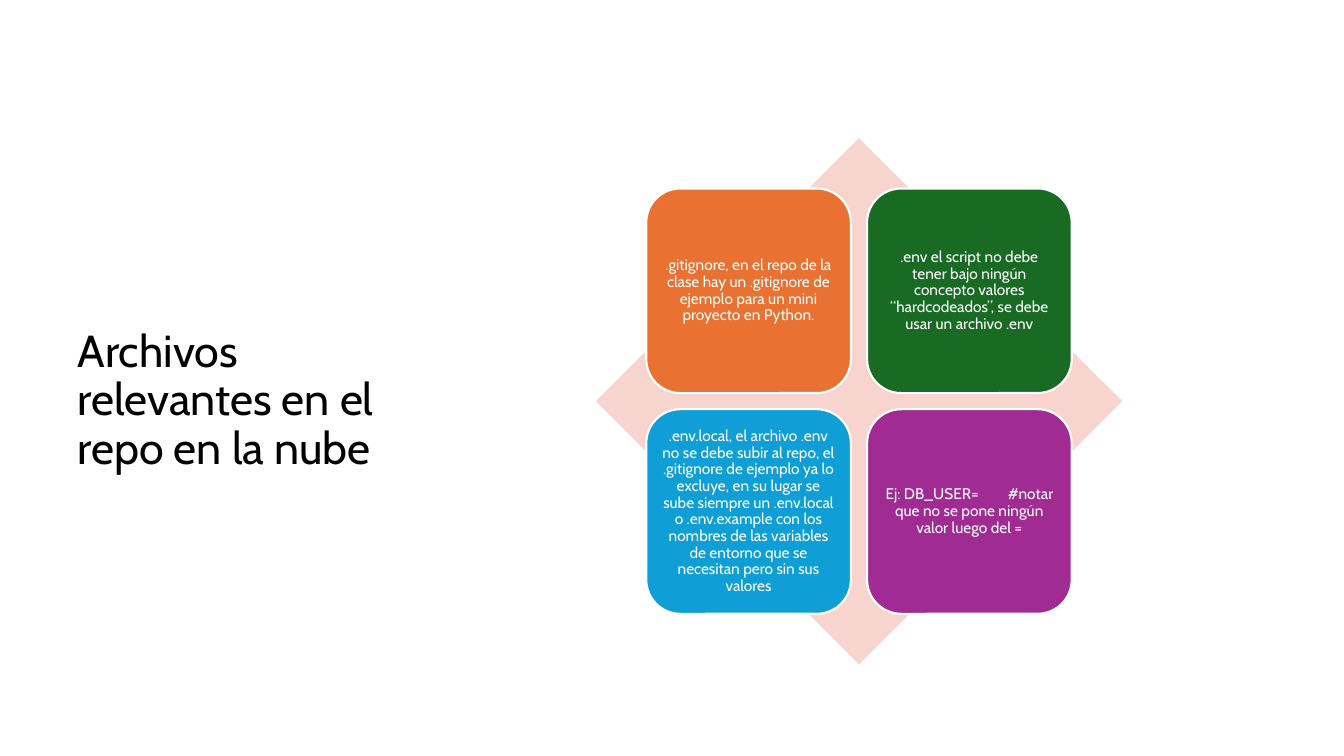
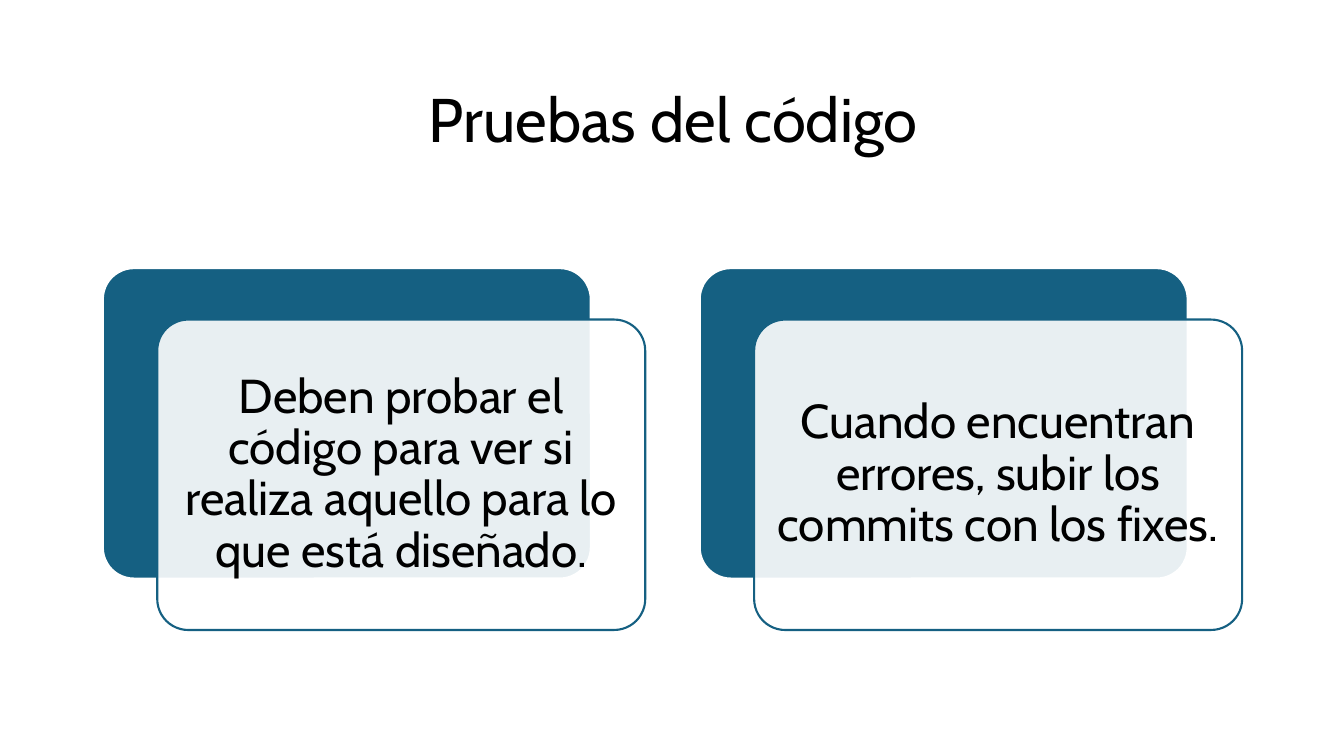
"""Build two slides: a four-card matrix and a pair of layered panels."""
from lxml import etree
from pptx import Presentation
from pptx import util as u
from pptx.dml.color import RGBColor
from pptx.enum import shapes, text
from pptx.oxml.ns import qn

WIDTH, HEIGHT = 13.33, 7.5
FONT = "Cabin"
BLACK = RGBColor(0x00, 0x00, 0x00)
WHITE = RGBColor(0xFF, 0xFF, 0xFF)
BLUSH = RGBColor(0xF7, 0xD5, 0xCE)
ORANGE = RGBColor(0xE9, 0x71, 0x32)
GREEN = RGBColor(0x19, 0x6B, 0x24)
SKY = RGBColor(0x0F, 0x9E, 0xD5)
PURPLE = RGBColor(0xA0, 0x2B, 0x93)
TEAL = RGBColor(0x15, 0x60, 0x82)

MATRIX_LEFT, MATRIX_TOP, MATRIX_SIZE = 5.91, 1.37, 5.22
CARD_SIZE, CARD_PITCH = 2.03, 2.19
PANEL_LEFT, PANEL_TOP, PANEL_PITCH = 1.02, 2.66, 5.92
PANEL_WIDTH, PANEL_HEIGHT = 4.84, 3.08
FRONT_DX, FRONT_DY = 0.54, 0.51

CARDS = [
    (ORANGE, [".gitignore, en el repo de la clase hay un .gitignore de ejemplo "
              "para un mini proyecto en Python."]),
    (GREEN, [".env el script no debe tener bajo ningún concepto valores "
             "“hardcodeados”, se debe usar un archivo .env"]),
    (SKY, [".env.local, el archivo .env no se debe subir al repo, el .gitignore "
           "de ejemplo ya lo excluye, en su lugar se sube siempre un .env.local "
           "o .env.example con los nombres de las variables de entorno que se "
           "necesitan pero sin sus valores"]),
    (PURPLE, ["Ej: DB_USER=", "#notar que no se pone ningún valor luego del ="]),
]
PANELS = [
    "Deben probar el código para ver si realiza aquello para lo que está diseñado.",
    "Cuando encuentran errores, subir los commits con los fixes.",
]


def write(sp, parts, size, color, align, inset=None, gap=18):
    """Write one paragraph whose parts are separated by a wide space."""
    tf = sp.text_frame
    tf.word_wrap = True
    tf.vertical_anchor = text.MSO_ANCHOR.MIDDLE
    if inset is not None:
        tf.margin_left = tf.margin_right = u.Inches(inset)
        tf.margin_top = tf.margin_bottom = u.Inches(inset)
    p = tf.paragraphs[0]
    p.alignment, p.line_spacing = align, 0.9
    p.font.name, p.font.size = FONT, u.Pt(size)
    p.font.color.rgb = color
    for i, part in enumerate(parts):
        if i:
            r = p.add_run()
            r.text = " "
            r._r.get_or_add_rPr().set("spc", str(gap * 100))
        p.add_run().text = part


def add_title(s, box, title, size, align):
    """Add a slide title."""
    sp = s.shapes.add_textbox(*map(u.Inches, box))
    write(sp, [title], size, BLACK, align)


def add_block(s, kind, box, fill, line=None, adj=None, opacity=None):
    """Add a filled shape, outlined when a line colour is given."""
    sp = s.shapes.add_shape(kind, *map(u.Inches, box))
    sp.shadow.inherit = False
    sp.fill.solid()
    sp.fill.fore_color.rgb = fill
    if line is None:
        sp.line.fill.background()
    else:
        sp.line.color.rgb = line
        sp.line.width = u.Pt(1.5)
    if adj is not None:
        sp.adjustments[0] = adj
    if opacity is not None:
        srgb = sp.fill._xPr.find(qn("a:solidFill"))[0]
        etree.SubElement(srgb, qn("a:alpha")).set("val", str(opacity * 1000))
    return sp


def add_matrix(s, cards):
    """Add a diamond with a two-by-two grid of cards centred on it."""
    add_block(s, shapes.MSO_SHAPE.DIAMOND,
              (MATRIX_LEFT, MATRIX_TOP, MATRIX_SIZE, MATRIX_SIZE), BLUSH)
    margin = (MATRIX_SIZE - CARD_PITCH - CARD_SIZE) / 2
    for i, (fill, parts) in enumerate(cards):
        row, col = divmod(i, 2)
        box = (MATRIX_LEFT + margin + col * CARD_PITCH,
               MATRIX_TOP + margin + row * CARD_PITCH, CARD_SIZE, CARD_SIZE)
        sp = add_block(s, shapes.MSO_SHAPE.ROUNDED_RECTANGLE, box, fill, WHITE)
        write(sp, parts, 11, WHITE, text.PP_ALIGN.CENTER, 0.05)


def add_panel(s, col, words):
    """Add a solid panel with a translucent text panel set over it."""
    kind = shapes.MSO_SHAPE.ROUNDED_RECTANGLE
    left = PANEL_LEFT + col * PANEL_PITCH
    size = (PANEL_WIDTH, PANEL_HEIGHT)
    add_block(s, kind, (left, PANEL_TOP, *size), TEAL, WHITE, 0.1)
    sp = add_block(s, kind, (left + FRONT_DX, PANEL_TOP + FRONT_DY, *size),
                   WHITE, TEAL, 0.1, 90)
    write(sp, [words], 34, BLACK, text.PP_ALIGN.CENTER, 0.14)


def main():
    """Build and save the presentation."""
    prs = Presentation()
    prs.slide_width, prs.slide_height = u.Inches(WIDTH), u.Inches(HEIGHT)
    blank = prs.slide_layouts[6]

    s = prs.slides.add_slide(blank)
    add_title(s, (0.67, MATRIX_TOP, 3.18, MATRIX_SIZE),
              "Archivos relevantes en el repo en la nube", 32, text.PP_ALIGN.LEFT)
    add_matrix(s, CARDS)

    s = prs.slides.add_slide(blank)
    add_title(s, (1.67, 0.6, 10.02, 1.24), "Pruebas del código", 44,
              text.PP_ALIGN.CENTER)
    for col, words in enumerate(PANELS):
        add_panel(s, col, words)

    prs.save("out.pptx")


if __name__ == "__main__":
    main()
